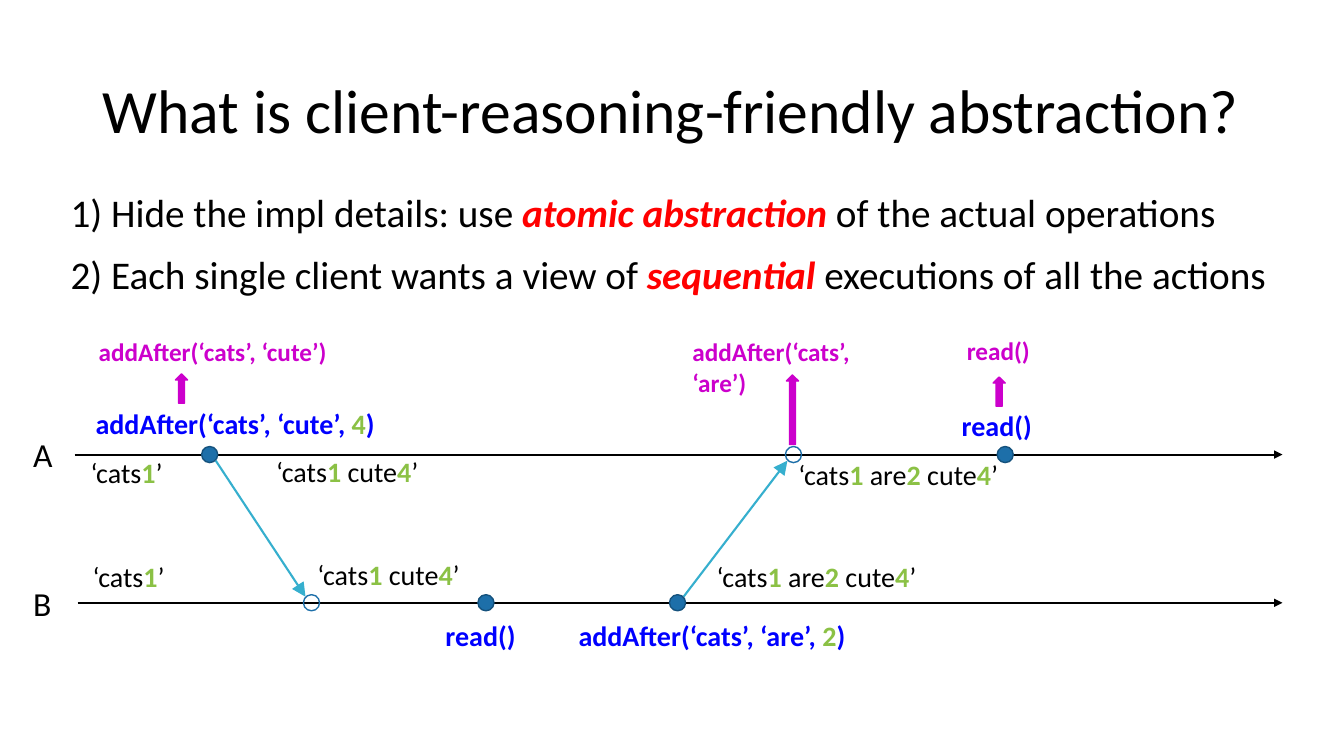
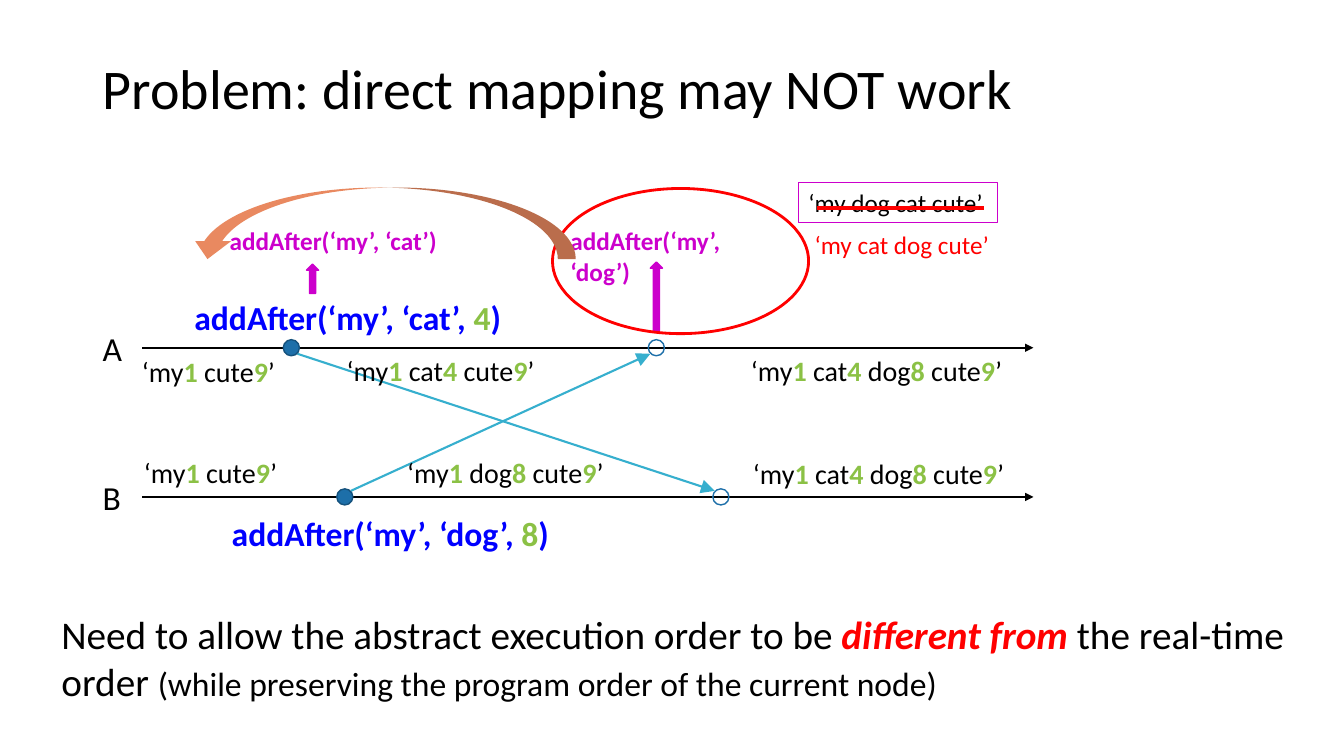
from dataclasses import dataclass
from itertools import groupby

from lxml.etree import SubElement
from pptx import Presentation
from pptx.dml.color import RGBColor
from pptx.enum.shapes import MSO_CONNECTOR, MSO_SHAPE
from pptx.enum.text import MSO_ANCHOR, MSO_AUTO_SIZE, PP_ALIGN
from pptx.oxml.ns import qn
from pptx.util import Inches, Pt


@dataclass(frozen=True)
class Theme:
    """Colours, font and type sizes shared by the slides."""

    font: str = "Calibri"
    ink: RGBColor = RGBColor.from_string("000000")
    alert: RGBColor = RGBColor.from_string("FF0000")
    concrete: RGBColor = RGBColor.from_string("0000FF")
    abstract: RGBColor = RGBColor.from_string("CC00CC")
    stamp: RGBColor = RGBColor.from_string("8BC145")
    message: RGBColor = RGBColor.from_string("36AFCE")
    event: RGBColor = RGBColor.from_string("1D6FA9")
    event_edge: RGBColor = RGBColor.from_string("15527D")
    reorder: RGBColor = RGBColor.from_string("E98960")
    point: int = 28
    large: int = 24
    label: int = 20
    small: int = 18


THEME = Theme()
DOT = 0.16
DOT_EDGE = 0.06


def write(paragraph, text, size=THEME.label, color=THEME.ink, bold=False,
          italic=False, stamp=None):
    """Append text to a paragraph, with its digits in the stamp colour if one is given."""
    for stamped, chars in groupby(text, lambda char: stamp is not None and char.isdigit()):
        run = paragraph.add_run()
        run.text = "".join(chars)
        run.font.name = THEME.font
        run.font.size = Pt(size)
        run.font.bold = bold or stamped
        run.font.italic = italic
        run.font.color.rgb = stamp if stamped else color


def place(shape, left, top, width, height):
    """Move and size a shape, in inches."""
    shape.left, shape.top = Inches(left), Inches(top)
    shape.width, shape.height = Inches(width), Inches(height)


def add_titled_slide(deck, title, size, height):
    """Add a slide with its title set."""
    slide = deck.slides.add_slide(deck.slide_layouts[1])
    heading = slide.shapes.title
    place(heading, 0.92, 0.4, 11.5, height)
    frame = heading.text_frame
    frame.auto_size = MSO_AUTO_SIZE.NONE
    frame.vertical_anchor = MSO_ANCHOR.MIDDLE
    paragraph = frame.paragraphs[0]
    paragraph.alignment = PP_ALIGN.LEFT
    paragraph.line_spacing = 0.9
    write(paragraph, title, size=size)
    return slide


def fill_body(slide, box, points, gap=0):
    """Write points, each a list of text and format pairs, in the body placeholder."""
    body = slide.placeholders[1]
    place(body, *box)
    frame = body.text_frame
    frame.auto_size = MSO_AUTO_SIZE.NONE
    for index, pieces in enumerate(points):
        paragraph = frame.add_paragraph() if index else frame.paragraphs[0]
        paragraph.space_before = Pt(gap if index else 0)
        properties = paragraph._p.get_or_add_pPr()
        properties.set("marL", "0")
        properties.set("indent", "0")
        SubElement(properties, qn("a:buNone"))
        for text, style in pieces:
            write(paragraph, text, **{"size": THEME.point, **style})


def add_label(slide, text, left, top, width, **style):
    """Add a text box of one label."""
    height = style.get("size", THEME.label) * 0.02 + 0.04
    box = slide.shapes.add_textbox(Inches(left), Inches(top), Inches(width), Inches(height))
    box.text_frame.word_wrap = True
    write(box.text_frame.paragraphs[0], text, **style)


def add_shape(slide, kind, box, fill=None, line=None, weight=1):
    """Add a flat preset shape."""
    shape = slide.shapes.add_shape(kind, *map(Inches, box))
    shape.shadow.inherit = False
    if fill is None:
        shape.fill.background()
    else:
        shape.fill.solid()
        shape.fill.fore_color.rgb = fill
    if line is None:
        shape.line.fill.background()
    else:
        shape.line.color.rgb = line
        shape.line.width = Pt(weight)
    return shape


def add_line(slide, start, end, color, weight=1.5, head=None):
    """Add a straight line, with an arrowhead of the given size at its end."""
    line = slide.shapes.add_connector(MSO_CONNECTOR.STRAIGHT, *map(Inches, (*start, *end)))
    line.line.color.rgb = color
    line.line.width = Pt(weight)
    if head:
        SubElement(line.line._get_or_add_ln(), qn("a:tailEnd"),
                   type="triangle", w=head, len=head)
    SubElement(line._element.spPr, qn("a:effectLst"))


def add_lane(slide, node, name_left, start, end, y):
    """Add the timeline of one node."""
    add_line(slide, (start, y), (end, y), THEME.ink, head="med")
    add_label(slide, node, name_left, y - 0.25, 0.45, size=THEME.large)


def add_event(slide, x, y, received=False):
    """Add an event dot, hollow when the event is received."""
    add_shape(slide, MSO_SHAPE.OVAL, (x - DOT / 2, y - DOT / 2, DOT, DOT),
              fill=None if received else THEME.event,
              line=THEME.event if received else THEME.event_edge)


def add_message(slide, start, end):
    """Add a message between lanes with its two events."""
    down = DOT_EDGE if end[1] > start[1] else -DOT_EDGE
    add_line(slide, (start[0] + DOT_EDGE, start[1] + down),
             (end[0] - DOT_EDGE, end[1] - down), THEME.message, head="lg")
    add_event(slide, *start)
    add_event(slide, *end, received=True)


def add_states(slide, states):
    """Add the list contents seen by the nodes."""
    for text, left, top, width in states:
        add_label(slide, text, left, top, width, stamp=THEME.stamp)


def add_calls(slide, calls, size):
    """Add the concrete operations."""
    for text, left, top, width in calls:
        add_label(slide, text, left, top, width, size=size,
                  color=THEME.concrete, bold=True, stamp=THEME.stamp)


def add_abstractions(slide, abstractions):
    """Add the abstract operations, each with the arrow that leads up to it."""
    for text, left, top, width, arrow in abstractions:
        add_label(slide, text, left, top, width, size=THEME.small,
                  color=THEME.abstract, bold=True)
        arrow_left, arrow_top, arrow_height = arrow
        add_shape(slide, MSO_SHAPE.UP_ARROW, (arrow_left, arrow_top, 0.12, arrow_height),
                  fill=THEME.abstract, line=THEME.abstract)


def build_abstraction(deck):
    """Build the slide on the abstraction that clients want."""
    slide = add_titled_slide(deck, "What is client-reasoning-friendly abstraction?", 44, 1.45)
    emphasis = {"color": THEME.alert, "bold": True, "italic": True}
    fill_body(slide, (0.6, 1.82, 12.5, 1.2), [
        [("1) Hide the impl details: use ", {}), ("atomic abstraction", emphasis),
         (" of the actual operations", {})],
        [("2) Each single client wants a view of ", {}), ("sequential", emphasis),
         (" executions of all the actions", {})],
    ], gap=10.5)
    lane_a, lane_b = 4.51, 5.98
    add_lane(slide, "A", 0.23, 0.74, 12.72, lane_a)
    add_lane(slide, "B", 0.23, 0.77, 12.72, lane_b)
    add_message(slide, (2.08, lane_a), (3.09, lane_b))
    add_message(slide, (6.72, lane_b), (7.87, lane_a))
    add_event(slide, 9.97, lane_a)
    add_event(slide, 4.82, lane_b)
    add_states(slide, [
        ("‘cats1’", 0.8, 4.47, 1.2),
        ("‘cats1 cute4’", 2.64, 4.46, 1.98),
        ("‘cats1 are2 cute4’", 7.82, 4.49, 2.41),
        ("‘cats1’", 0.82, 5.5, 1.2),
        ("‘cats1 cute4’", 3.05, 5.48, 1.76),
        ("‘cats1 are2 cute4’", 7.01, 5.5, 2.41),
    ])
    add_calls(slide, [
        ("addAfter(‘cats’, ‘cute’, 4)", 0.85, 3.98, 3.1),
        ("read()", 9.44, 4, 1),
        ("read()", 4.32, 6.09, 1),
        ("addAfter(‘cats’, ‘are’, 2)", 5.64, 6.09, 3),
    ], THEME.label)
    add_abstractions(slide, [
        ("addAfter(‘cats’, ‘cute’)", 0.88, 3.29, 2.6, (1.74, 3.71, 0.29)),
        ("addAfter(‘cats’, ‘are’)", 6.77, 3.29, 2.2, (7.8, 3.72, 0.69)),
        ("read()", 9.49, 3.28, 0.91, (9.85, 3.74, 0.29)),
    ])


def build_problem(deck):
    """Build the slide on the failure of direct mapping."""
    slide = add_titled_slide(deck, "Problem: direct mapping may NOT work", 40, 1.02)
    fill_body(slide, (0.51, 6, 12.57, 1.04), [[
        ("Need to allow the abstract execution order to be ", {}),
        ("different from ", {"color": THEME.alert, "bold": True, "italic": True}),
        ("the real-time order ", {}),
        ("(while preserving the program order of the current node)", {"size": THEME.large}),
    ]])
    add_abstractions(slide, [
        ("addAfter(‘my’, ‘cat’)", 2.18, 2.19, 2.4, (3.04, 2.62, 0.29)),
        ("addAfter(‘my’, ‘dog’)", 5.56, 2.19, 2.1, (6.45, 2.6, 0.69)),
    ])
    lane_a, lane_b = 3.45, 4.93
    add_lane(slide, "A", 0.92, 1.41, 10.25, lane_a)
    add_lane(slide, "B", 0.92, 1.41, 10.25, lane_b)
    add_message(slide, (2.89, lane_a), (7.15, lane_b))
    add_message(slide, (3.42, lane_b), (6.51, lane_a))
    add_calls(slide, [
        ("addAfter(‘my’, ‘cat’, 4)", 1.83, 2.9, 3.4),
        ("addAfter(‘my’, ‘dog’, 8)", 2.2, 5.04, 3.5),
    ], THEME.large)
    add_states(slide, [
        ("‘my1 cute9’", 1.31, 3.47, 1.54),
        ("‘my1 cat4 cute9’", 3.34, 3.46, 2.2),
        ("‘my1 cat4 dog8 cute9’", 7.35, 3.46, 2.74),
        ("‘my1 cute9’", 1.33, 4.47, 1.54),
        ("‘my1 dog8 cute9’", 3.94, 4.47, 2.25),
        ("‘my1 cat4 dog8 cute9’", 7.37, 4.48, 2.74),
    ])
    rejected = add_shape(slide, MSO_SHAPE.RECTANGLE, (7.92, 1.81, 1.97, 0.4),
                         line=THEME.abstract, weight=0.75)
    outcome = rejected.text_frame.paragraphs[0]
    outcome.alignment = PP_ALIGN.LEFT
    write(outcome, "‘my dog cat cute’", size=THEME.small)
    add_shape(slide, MSO_SHAPE.OVAL, (5.48, 1.87, 2.54, 1.44), line=THEME.alert, weight=2)
    reorder = add_shape(slide, MSO_SHAPE.CURVED_UP_ARROW, (1.88, 1.86, 3.83, 0.71),
                        fill=THEME.reorder)
    reorder.rotation = 180
    add_line(slide, (8.1, 2.06), (9.76, 2.06), THEME.alert, weight=3)
    add_label(slide, "‘my cat dog cute’", 7.98, 2.23, 1.99, size=THEME.small, color=THEME.alert)


def main():
    """Build and save the deck."""
    deck = Presentation()
    deck.slide_width, deck.slide_height = Inches(13.33), Inches(7.5)
    build_abstraction(deck)
    build_problem(deck)
    deck.save("out.pptx")


if __name__ == "__main__":
    main()
